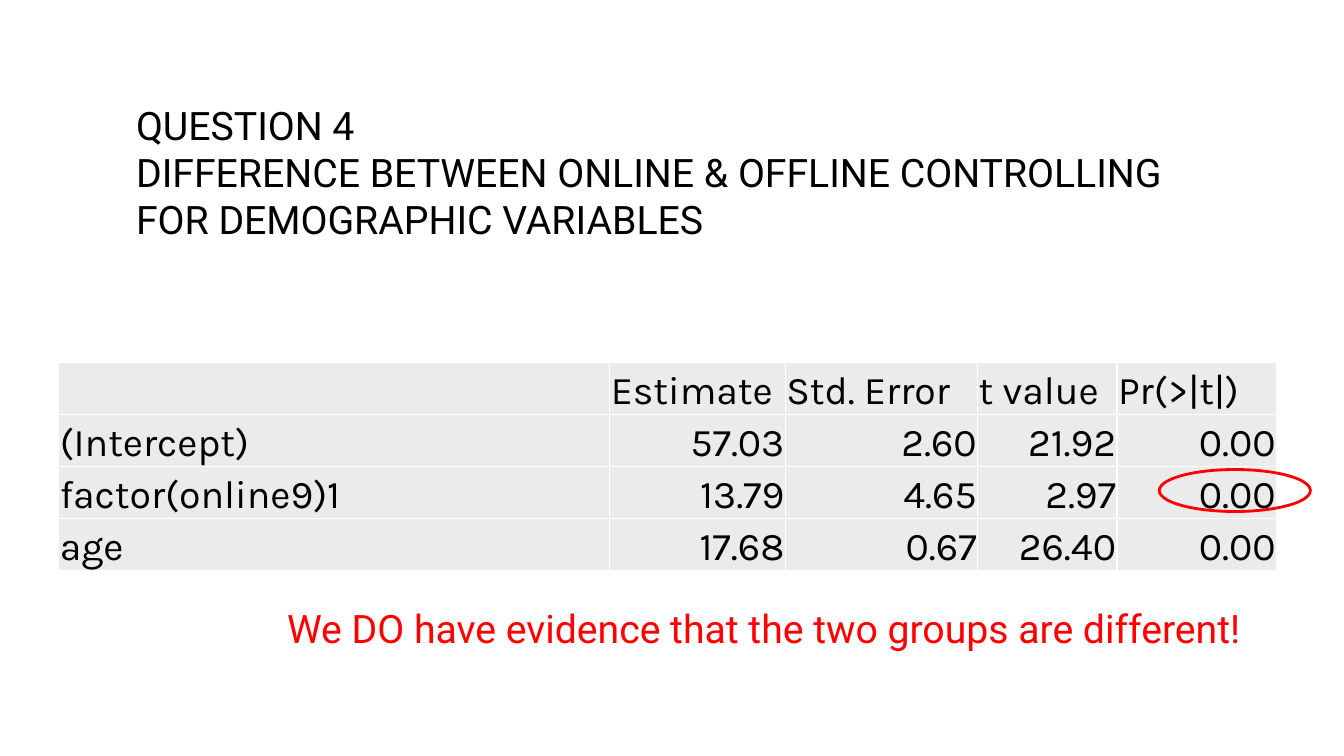
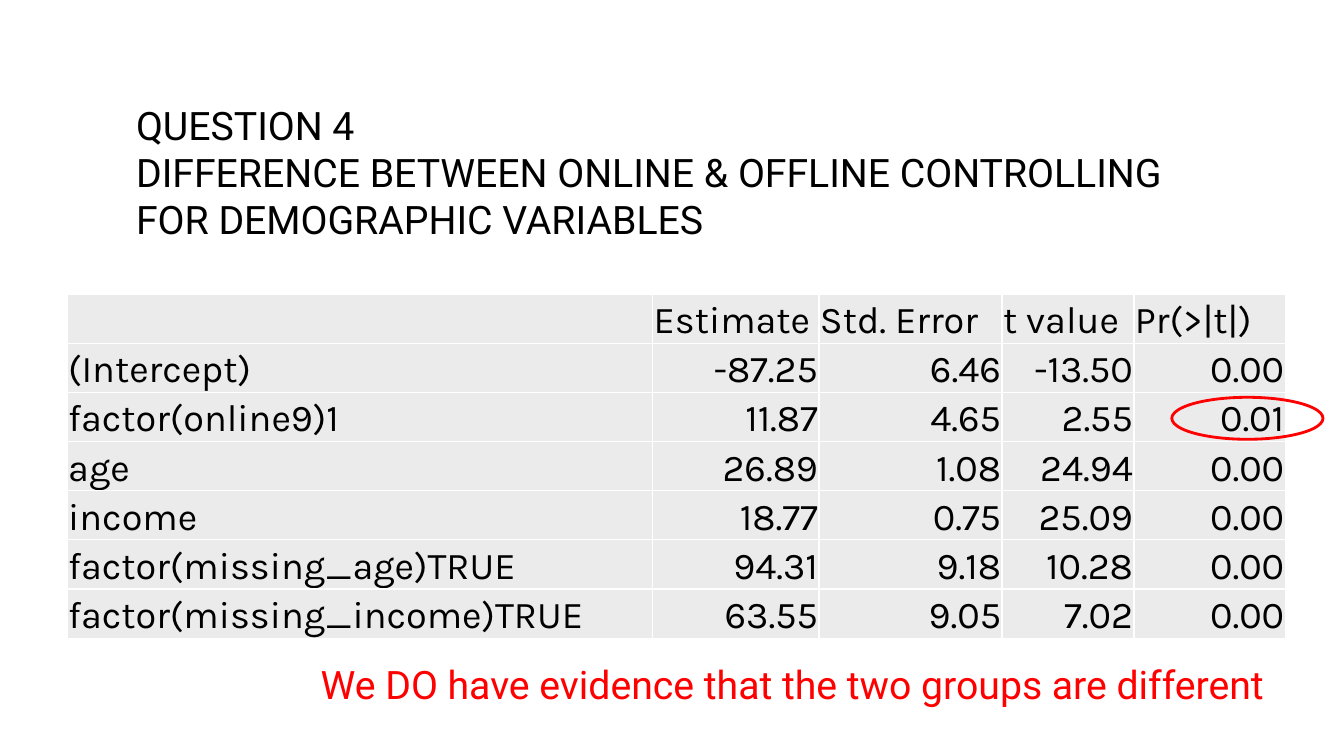
from lxml.etree import SubElement
from pptx import Presentation
from pptx.dml.color import RGBColor
from pptx.enum.shapes import MSO_SHAPE
from pptx.enum.text import MSO_ANCHOR, MSO_AUTO_SIZE, PP_ALIGN
from pptx.oxml.ns import qn
from pptx.util import Inches, Pt

BLACK = RGBColor(0x00, 0x00, 0x00)
RED = RGBColor(0xFF, 0x00, 0x00)
GREY = RGBColor(0xEB, 0xEB, 0xEB)
WHITE = RGBColor(0xFF, 0xFF, 0xFF)

TITLE_ONLY = 5
GRID_COLUMNS, GRID_ROWS = 160, 90
TITLE_LINES = (
    "QUESTION 4",
    "DIFFERENCE BETWEEN ONLINE & OFFLINE CONTROLLING FOR DEMOGRAPHIC VARIABLES",
)
HEADINGS = ("", "Estimate", "Std. Error", "t value", "Pr(>|t|)")

AGE_MODEL = (
    ("(Intercept)", "57.03", "2.60", "21.92", "0.00"),
    ("factor(online9)1", "13.79", "4.65", "2.97", "0.00"),
    ("age", "17.68", "0.67", "26.40", "0.00"),
)
INCOME_MODEL = (
    ("(Intercept)", "-87.25", "6.46", "-13.50", "0.00"),
    ("factor(online9)1", "11.87", "4.65", "2.55", "0.01"),
    ("age", "26.89", "1.08", "24.94", "0.00"),
    ("income", "18.77", "0.75", "25.09", "0.00"),
    ("factor(missing_age)TRUE", "94.31", "9.18", "10.28", "0.00"),
    ("factor(missing_income)TRUE", "63.55", "9.05", "7.02", "0.00"),
)


class RegressionDeck:
    """Holds the shared style and the current page; lengths are grid columns and rows."""

    text_font, table_font = "Roboto", "Karla"
    text_size = 28

    def __init__(self):
        self.deck = Presentation()
        self.deck.slide_width = Inches(13.33)
        self.deck.slide_height = Inches(7.5)
        self.page = None

    def across(self, columns):
        return round(self.deck.slide_width * columns / GRID_COLUMNS)

    def down(self, rows):
        return round(self.deck.slide_height * rows / GRID_ROWS)

    def area(self, left, top, width, height):
        return self.across(left), self.down(top), self.across(width), self.down(height)

    def add_span(self, para, text, color=BLACK, font=text_font, size=text_size):
        span = para.add_run()
        span.text = text
        span.font.name = font
        span.font.size = Pt(size)
        span.font.color.rgb = color

    def add_page(self):
        self.page = self.deck.slides.add_slide(self.deck.slide_layouts[TITLE_ONLY])
        title = self.page.shapes.title
        title.left, title.top, title.width, title.height = self.area(15, 8, 130, 25)
        frame = title.text_frame
        frame.word_wrap = True
        frame.auto_size = MSO_AUTO_SIZE.NONE
        frame.vertical_anchor = MSO_ANCHOR.MIDDLE
        para = frame.paragraphs[0]
        para.alignment = PP_ALIGN.LEFT
        for index, line in enumerate(TITLE_LINES):
            if index:
                para.add_line_break()
            self.add_span(para, line)

    def add_border(self, cell):
        properties = cell._tc.get_or_add_tcPr()
        for index, side in enumerate(("lnL", "lnR", "lnT", "lnB")):
            line = SubElement(properties, qn(f"a:{side}"), w=str(Pt(1)))
            fill = SubElement(line, qn("a:solidFill"))
            SubElement(fill, qn("a:srgbClr"), val=str(WHITE))
            properties.insert(index, line)

    def add_coefficients(self, left, top, height, widths, model, size):
        rows = (HEADINGS, *model)
        frame = self.page.shapes.add_table(
            len(rows), len(HEADINGS), *self.area(left, top, sum(widths), height)
        )
        table = frame.table
        table.first_row = table.horz_banding = False
        for column, width in zip(table.columns, widths):
            column.width = self.across(width)
        for row_index, values in enumerate(rows):
            table.rows[row_index].height = self.down(height / len(rows))
            for column_index, value in enumerate(values):
                cell = table.cell(row_index, column_index)
                cell.margin_left = cell.margin_right = cell.margin_top = Inches(0.01)
                cell.margin_bottom = 0
                cell.vertical_anchor = MSO_ANCHOR.BOTTOM
                cell.fill.solid()
                cell.fill.fore_color.rgb = GREY
                self.add_border(cell)
                para = cell.text_frame.paragraphs[0]
                if row_index and column_index:
                    para.alignment = PP_ALIGN.RIGHT
                if value:
                    self.add_span(para, value, font=self.table_font, size=size)

    def add_ring(self, left, top):
        ring = self.page.shapes.add_shape(MSO_SHAPE.OVAL, *self.area(left, top, 18, 5))
        ring.shadow.inherit = False
        ring.fill.background()
        ring.line.color.rgb = RED
        ring.line.width = Pt(2)

    def add_finding(self, left, top, text):
        box = self.page.shapes.add_textbox(*self.area(left, top, 119, 6.8))
        frame = box.text_frame
        frame.word_wrap = True
        frame.auto_size = MSO_AUTO_SIZE.SHAPE_TO_FIT_TEXT
        self.add_span(frame.paragraphs[0], text, RED)


def main():
    slides = RegressionDeck()

    slides.add_page()
    slides.add_coefficients(7, 43.2, 24.7, (65.6, 20.9, 22.9, 16.6, 19), AGE_MODEL, 28)
    slides.add_ring(138, 55.9)
    slides.add_finding(33, 71.3, "We DO have evidence that the two groups are different!")

    slides.add_page()
    slides.add_coefficients(8, 35, 41, (69.7, 19.8, 21.8, 15.7, 18), INCOME_MODEL, 27)
    slides.add_ring(139.5, 47.3)
    slides.add_finding(37, 78, "We DO have evidence that the two groups are different")

    slides.deck.save("out.pptx")


if __name__ == "__main__":
    main()
